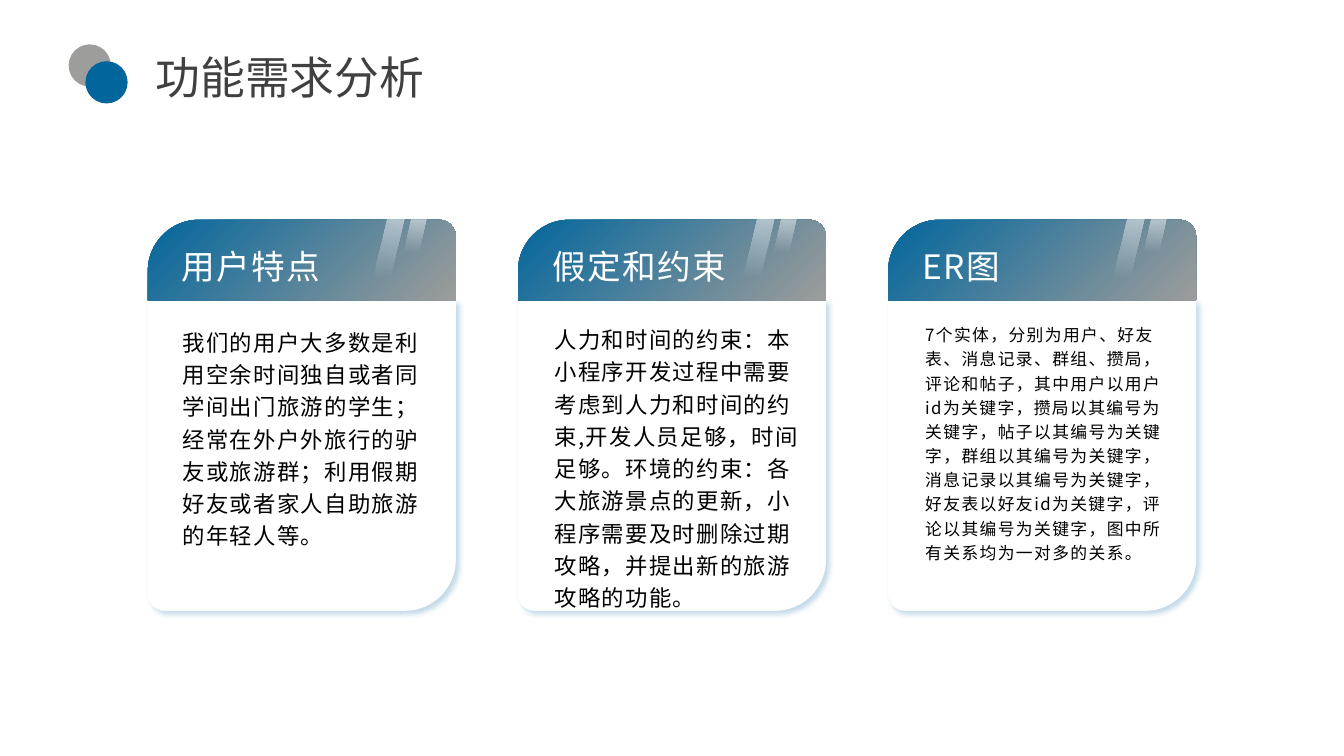
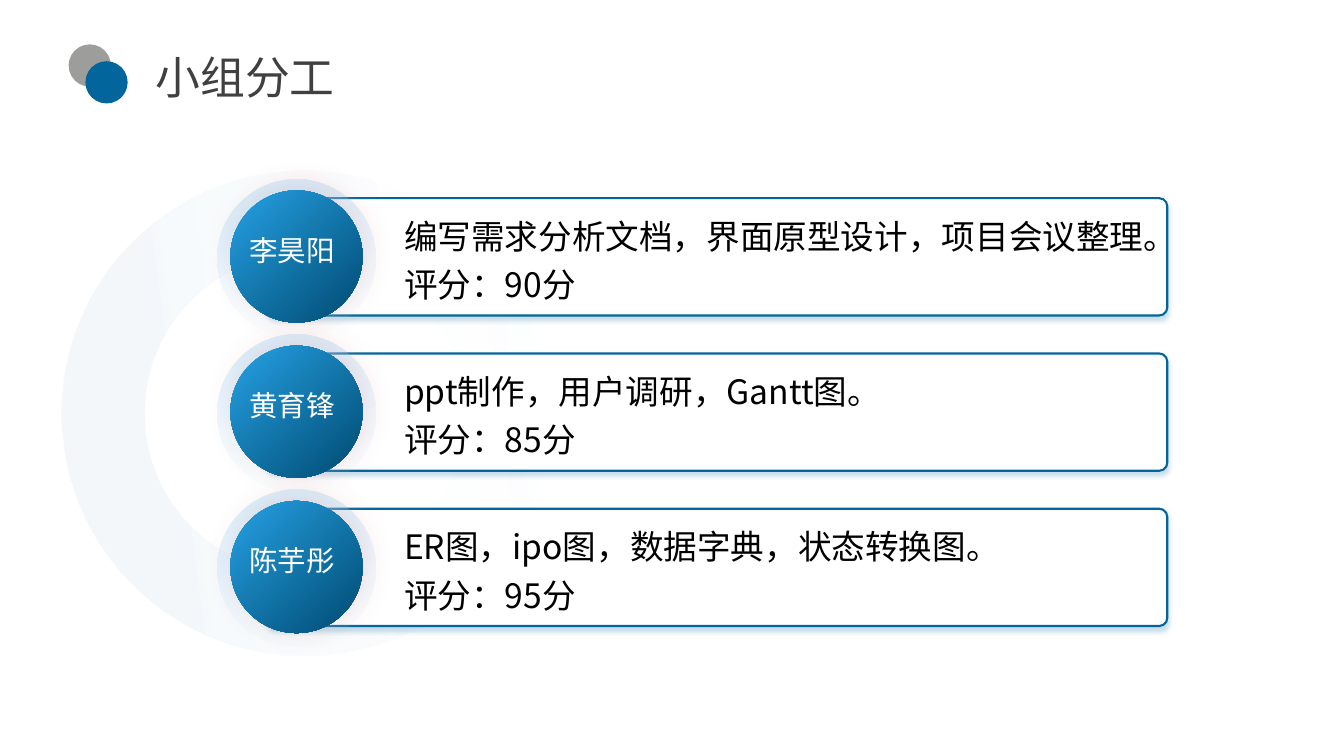
import pptx
import pptx.dml.color
import pptx.enum.shapes
import pptx.enum.text
import pptx.oxml
import pptx.oxml.ns
import pptx.util
from dataclasses import dataclass

Pt = pptx.util.Pt
qn = pptx.oxml.ns.qn
KIND = pptx.enum.shapes.MSO_SHAPE
FONT = "Noto Sans CJK JP"
BLUE, GREY, WHITE, BLACK, INK = "02669C", "9D9D9B", "FFFFFF", "000000", "404040"


@dataclass
class Box:
    x: float
    y: float
    w: float
    h: float


@dataclass
class Grad:
    stops: tuple  # (position %, colour, opacity %)
    angle: float


@dataclass
class Shade:
    color: str
    alpha: float
    blur: float
    dist: float
    angle: float


@dataclass
class Card:
    head: str
    body: str
    size: float
    inset: float
    top: float
    width: float


@dataclass
class Member:
    name: str
    work: list[str]
    width: float


HEAD = Grad(((0, BLUE, 100), (100, GREY, 100)), 45)
HALO = Grad(((0, "B9E6FE", 0), (83, "74CDFD", 28)), 90)
BALL = Grad(((0, "2EB4FC", 100), (83, "014D75", 100)), 90)
RING = Grad(((24, BLUE, 4), (100, WHITE, 0)), 90)
DROP = Shade(BLUE, 24, 4, 3, 45)
EDGE = Shade(BLUE, 22, 3.3, 2.5, 90)
GLOW = Shade("F0AAAD", 40, 20, 4, 300)

CARDS = [
    Card("用户特点", "我们的用户大多数是利用空余时间独自或者同学间出门旅游的学生；"
         "经常在外户外旅行的驴友或旅游群；利用假期好友或者家人自助旅游的年轻人等。",
         16, 24.7, 231.2, 184.5),
    Card("假定和约束", "人力和时间的约束：本小程序开发过程中需要考虑到人力和时间的约束,"
         "开发人员足够，时间足够。环境的约束：各大旅游景点的更新，"
         "小程序需要及时删除过期攻略，并提出新的旅游攻略的功能。",
         16, 26, 229.3, 176),
    Card("ER图", "7个实体，分别为用户、好友表、消息记录、群组、攒局，评论和帖子，"
         "其中用户以用户id为关键字，攒局以其编号为关键字，帖子以其编号为关键字，"
         "群组以其编号为关键字，消息记录以其编号为关键字，好友表以好友id为关键字，"
         "评论以其编号为关键字，图中所有关系均为一对多的关系。",
         12, 26.5, 229.3, 174.6),
]
TEAM = [
    Member("李昊阳", ["编写需求分析文档，界面原型设计，项目会议整理。评分：90分"], 546.5),
    Member("黄育锋", ["ppt制作，用户调研，Gantt图。", "评分：85分"], 530),
    Member("陈芋彤", ["ER图，ipo图，数据字典，状态转换图。", "评分：95分"], 530),
]


def rgb(code: str):
    return pptx.dml.color.RGBColor.from_string(code)


def node(xml: str):
    """Parse one drawing element, adding its namespace."""
    tag, rest = xml.split(" ", 1)
    return pptx.oxml.parse_xml(f"{tag} {pptx.oxml.ns.nsdecls('a')} {rest}")


def tint(color: str, alpha: float) -> str:
    return f'<a:srgbClr val="{color}"><a:alpha val="{alpha * 1000:.0f}"/></a:srgbClr>'


def paint(shape, fill, line: str = "", shade: Shade | None = None):
    """Set fill, outline and shadow of a shape."""
    props = shape._element.spPr
    if isinstance(fill, Grad):
        shape.fill.background()
        stops = "".join(f'<a:gs pos="{pos * 1000}">{tint(color, alpha)}</a:gs>'
                        for pos, color, alpha in fill.stops)
        props.replace(props.find(qn("a:noFill")), node(
            f'<a:gradFill rotWithShape="1"><a:gsLst>{stops}</a:gsLst>'
            f'<a:lin ang="{fill.angle * 60000:.0f}" scaled="0"/></a:gradFill>'))
    else:
        shape.fill.solid()
        shape.fill.fore_color.rgb = rgb(fill)
    if line:
        shape.line.color.rgb = rgb(line)
        shape.line.width = Pt(1.5)
    else:
        shape.line.fill.background()
    shape.shadow.inherit = False
    if shade:
        props.find(qn("a:effectLst")).append(node(
            f'<a:outerShdw blurRad="{Pt(shade.blur)}" dist="{Pt(shade.dist)}" '
            f'dir="{shade.angle * 60000:.0f}" algn="ctr">'
            f'{tint(shade.color, shade.alpha)}</a:outerShdw>'))


def form(slide, kind, box: Box, fill, line: str = "", shade: Shade | None = None,
         adj: float | None = None, turn: float = 0):
    """Draw a preset shape."""
    shape = slide.shapes.add_shape(kind, Pt(box.x), Pt(box.y), Pt(box.w), Pt(box.h))
    if adj is not None:
        shape.adjustments[0] = adj
    shape.rotation = turn
    paint(shape, fill, line, shade)


def plate(slide, box: Box, radii: tuple, fill, shade: Shade | None = None):
    """Draw a rectangle with its own radius at each corner, clockwise from top left."""
    right, low = box.x + box.w, box.y + box.h
    # Corner point, then the directions towards the previous and the next corner
    corners = (((box.x, box.y), (0, 1), (1, 0)), ((right, box.y), (-1, 0), (0, 1)),
               ((right, low), (0, -1), (-1, 0)), ((box.x, low), (1, 0), (0, -1)))
    dots, bends = [], []
    for ((x, y), back, ahead), r in zip(corners, radii):
        if r:
            bends.append(len(dots) + 1)
        pulls = ((back, r), (back, 0.45 * r), (ahead, 0.45 * r), (ahead, r))
        for (dx, dy), far in pulls if r else pulls[:1]:
            dots.append((Pt(x + dx * far), Pt(y + dy * far)))
    pen = slide.shapes.build_freeform(*dots[0])
    pen.add_line_segments(dots[1:], close=True)
    shape = pen.convert_to_shape()
    # Turn the three segments of each round corner into one curve
    track = next(shape._element.iter(qn("a:path")))
    steps = list(track)
    for i in bends:
        curve = node("<a:cubicBezTo />")
        track.replace(steps[i], curve)
        for step in steps[i:i + 3]:
            curve.append(step[0])
        for step in steps[i + 1:i + 3]:
            track.remove(step)
    paint(shape, fill, shade=shade)


def text(slide, box: Box, lines: list[str], size: float, color: str, inset: tuple = (0, 0),
         wrap: bool = True, lead: float = 1.0, gap: float = 0):
    """Write paragraphs; inset is (side, top), gap is letter spacing."""
    frame = slide.shapes.add_textbox(Pt(box.x), Pt(box.y), Pt(box.w), Pt(box.h)).text_frame
    frame.word_wrap = wrap
    frame.auto_size = pptx.enum.text.MSO_AUTO_SIZE.SHAPE_TO_FIT_TEXT
    frame.margin_left = frame.margin_right = Pt(inset[0])
    frame.margin_top = frame.margin_bottom = Pt(inset[1])
    frame.text = "\n".join(lines)
    for par in frame.paragraphs:
        par.line_spacing = lead
        font = par.font
        font.name, font.size, font.color.rgb = FONT, Pt(size), rgb(color)
        base = par._p.pPr.find(qn("a:defRPr"))
        base.append(node(f'<a:ea typeface="{FONT}"/>'))
        if gap:
            base.set("spc", str(round(gap * 100)))


def page(deck, title: str):
    """Add a blank slide with the shared title mark."""
    slide = deck.slides.add_slide(deck.slide_layouts[6])
    for x, y, color in ((49, 31.7, GREY), (61, 43.7, BLUE)):
        form(slide, KIND.FLOWCHART_CONNECTOR, Box(x, y, 30.2, 30.2), color)
    text(slide, Box(104, 31.7, 32 * len(title) + 14.4, 46), [title], 32, INK,
         (7.2, 3.6), wrap=False)
    return slide


def needs(deck):
    slide = page(deck, "功能需求分析")
    top, mid, wide = 157, 214.6, 220
    for i, card in enumerate(CARDS):
        x = 105.6 + 264.4 * i
        plate(slide, Box(x, mid, wide, 221.7), (0, 0, 36.4, 12), WHITE, DROP)
        plate(slide, Box(x, top, wide, mid - top), (36.4, 12, 0, 0), HEAD)
        text(slide, Box(x + 24.4, 170, 137.5, 34.6), [card.head], 24, WHITE, lead=1.2, gap=1)
        text(slide, Box(x + card.inset, card.top, card.width, 165), [card.body],
             card.size, BLACK, lead=1.2, gap=1)
        # Light streaks
        for dx, w, h, adj, end in ((157.8, 25.2, 54, 0.505, 76), (179.7, 19.4, 36, 0.413, 64)):
            fade = Grad(((0, WHITE, 50), (end, "FCFEFD", 0)), 90)
            form(slide, KIND.PARALLELOGRAM, Box(x + dx, top, w, h), fade, adj=adj)


def team(deck):
    slide = page(deck, "小组分工")
    form(slide, KIND.DONUT, Box(44, 121.6, 346.8, 346.8), RING, adj=0.171, turn=262.5)
    for i, who in enumerate(TEAM):
        y = 141.6 + 110.9 * i
        form(slide, KIND.ROUNDED_RECTANGLE, Box(190.8, y, 643, 83.8), WHITE, BLUE, EDGE, 0.068)
        form(slide, KIND.OVAL, Box(155.7, y - 13.6, 112.2, 112.2), HALO, turn=173.1)
        form(slide, KIND.OVAL, Box(164.6, y - 5.6, 94.4, 94.4), BALL, shade=GLOW, turn=316.2)
        text(slide, Box(174.2, y + 22.5, 69, 29), [who.name], 20.4, WHITE, (3.8, 2), wrap=False)
        text(slide, Box(283, y + 3.9, who.width, 75.6), who.work, 24, BLACK,
             (5.7, 2.8), lead=1.2)


def main():
    deck = pptx.Presentation()
    deck.slide_width, deck.slide_height = Pt(960), Pt(540)
    needs(deck)
    team(deck)
    deck.save("out.pptx")


if __name__ == "__main__":
    main()
